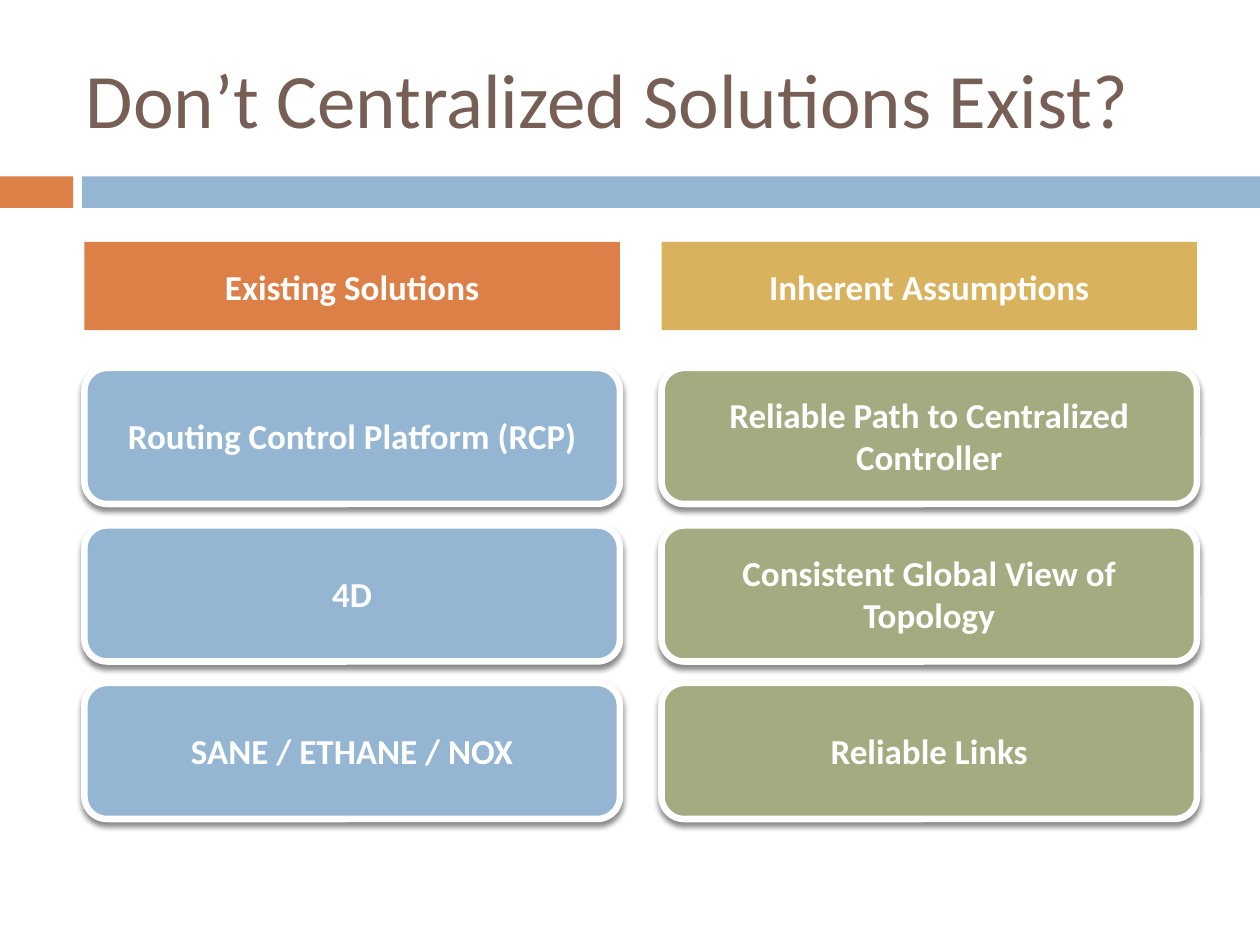
"""Build a slide comparing centralized solutions with their assumptions."""
from dataclasses import dataclass

import lxml.etree
import pptx
import pptx.dml.color
import pptx.enum.shapes
import pptx.enum.text
import pptx.oxml.ns
import pptx.util

RGBColor = pptx.dml.color.RGBColor
Inches = pptx.util.Inches
Shapes = pptx.enum.shapes.MSO_SHAPE
Align = pptx.enum.text.PP_ALIGN

WHITE = RGBColor(0xFF, 0xFF, 0xFF)
BROWN = RGBColor(0x77, 0x5F, 0x55)
ORANGE = RGBColor(0xDD, 0x80, 0x47)
BLUE = RGBColor(0x94, 0xB6, 0xD2)
GOLD = RGBColor(0xD8, 0xB2, 0x5C)
GREEN = RGBColor(0xA5, 0xAB, 0x81)

SLIDE_WIDTH, SLIDE_HEIGHT = 10, 7.5
COLUMN_LEFT, COLUMN_PITCH, COLUMN_WIDTH = 0.67, 4.58, 4.25
HEADING_TOP, HEADING_HEIGHT = 1.92, 0.7
CARD_TOP, CARD_PITCH, CARD_HEIGHT = 2.92, 1.25, 1.08
BAND_TOP, BAND_HEIGHT = 1.4, 0.25


@dataclass(frozen=True)
class Column:
    heading: str
    heading_placeholder: int
    heading_color: RGBColor
    card_color: RGBColor
    cards: tuple[str, ...]


@dataclass(frozen=True)
class Band:
    left: float
    right: float
    color: RGBColor


COLUMNS = (
    Column("Existing Solutions", 1, ORANGE, BLUE,
           ("Routing Control Platform (RCP)", "4D", "SANE / ETHANE / NOX")),
    Column("Inherent Assumptions", 3, GOLD, GREEN,
           ("Reliable Path to Centralized Controller",
            "Consistent Global View of Topology", "Reliable Links")),
)
BANDS = (Band(0, 0.58, ORANGE), Band(0.65, SLIDE_WIDTH, BLUE))


def place(shape, left: float, top: float, width: float, height: float) -> None:
    shape.left, shape.top = Inches(left), Inches(top)
    shape.width, shape.height = Inches(width), Inches(height)


def fill_solid(shape, color: RGBColor) -> None:
    shape.fill.solid()
    shape.fill.fore_color.rgb = color


def write(shape, text: str, size: int, color: RGBColor, bold: bool, align: Align) -> None:
    frame = shape.text_frame
    frame.word_wrap = True
    frame.auto_size = pptx.enum.text.MSO_AUTO_SIZE.NONE
    frame.vertical_anchor = pptx.enum.text.MSO_ANCHOR.MIDDLE
    paragraph = frame.paragraphs[0]
    paragraph.alignment = align
    paragraph.space_before = pptx.util.Pt(0)
    run = paragraph.add_run()
    run.text = text
    run.font.name = "Calibri"
    run.font.size = pptx.util.Pt(size)
    run.font.bold = bold
    run.font.color.rgb = color


def add_soft_shadow(shape) -> None:
    qn = pptx.oxml.ns.qn
    effects = shape.element.spPr.find(qn("a:effectLst"))
    shadow = lxml.etree.SubElement(
        effects, qn("a:outerShdw"), blurRad=str(pptx.util.Pt(3)),
        dist=str(pptx.util.Pt(2.4)), dir=str(90 * 60000), rotWithShape="0")
    color = lxml.etree.SubElement(shadow, qn("a:srgbClr"), val="000000")
    lxml.etree.SubElement(color, qn("a:alpha"), val="45000")


def draw_band(slide, band: Band) -> None:
    bar = slide.shapes.add_shape(
        Shapes.RECTANGLE, Inches(band.left), Inches(BAND_TOP),
        Inches(band.right - band.left), Inches(BAND_HEIGHT))
    bar.shadow.inherit = False
    fill_solid(bar, band.color)
    bar.line.fill.background()


def draw_card(slide, text: str, left: float, row: int, color: RGBColor) -> None:
    card = slide.shapes.add_shape(
        Shapes.ROUNDED_RECTANGLE, Inches(left), Inches(CARD_TOP + row * CARD_PITCH),
        Inches(COLUMN_WIDTH), Inches(CARD_HEIGHT))
    card.shadow.inherit = False
    add_soft_shadow(card)
    fill_solid(card, color)
    card.line.color.rgb = WHITE
    card.line.width = pptx.util.Pt(3.75)
    write(card, text, 20, WHITE, True, Align.CENTER)


def draw_column(slide, column: Column, index: int) -> None:
    left = COLUMN_LEFT + index * COLUMN_PITCH
    heading = slide.placeholders[column.heading_placeholder]
    place(heading, left, HEADING_TOP, COLUMN_WIDTH, HEADING_HEIGHT)
    fill_solid(heading, column.heading_color)
    write(heading, column.heading, 20, WHITE, True, Align.CENTER)
    for row, text in enumerate(column.cards):
        draw_card(slide, text, left, row, column.card_color)


def main() -> None:
    deck = pptx.Presentation()
    deck.slide_width, deck.slide_height = Inches(SLIDE_WIDTH), Inches(SLIDE_HEIGHT)
    slide = deck.slides.add_slide(deck.slide_layouts.get_by_name("Comparison"))
    for unused in (2, 4):
        element = slide.placeholders[unused].element
        element.getparent().remove(element)
    title = slide.shapes.title
    place(title, 0.58, 0.3, 8.92, 0.95)
    write(title, "Don’t Centralized Solutions Exist?", 44, BROWN, False, Align.LEFT)
    for band in BANDS:
        draw_band(slide, band)
    for index, column in enumerate(COLUMNS):
        draw_column(slide, column, index)
    deck.save("out.pptx")


if __name__ == "__main__":
    main()
